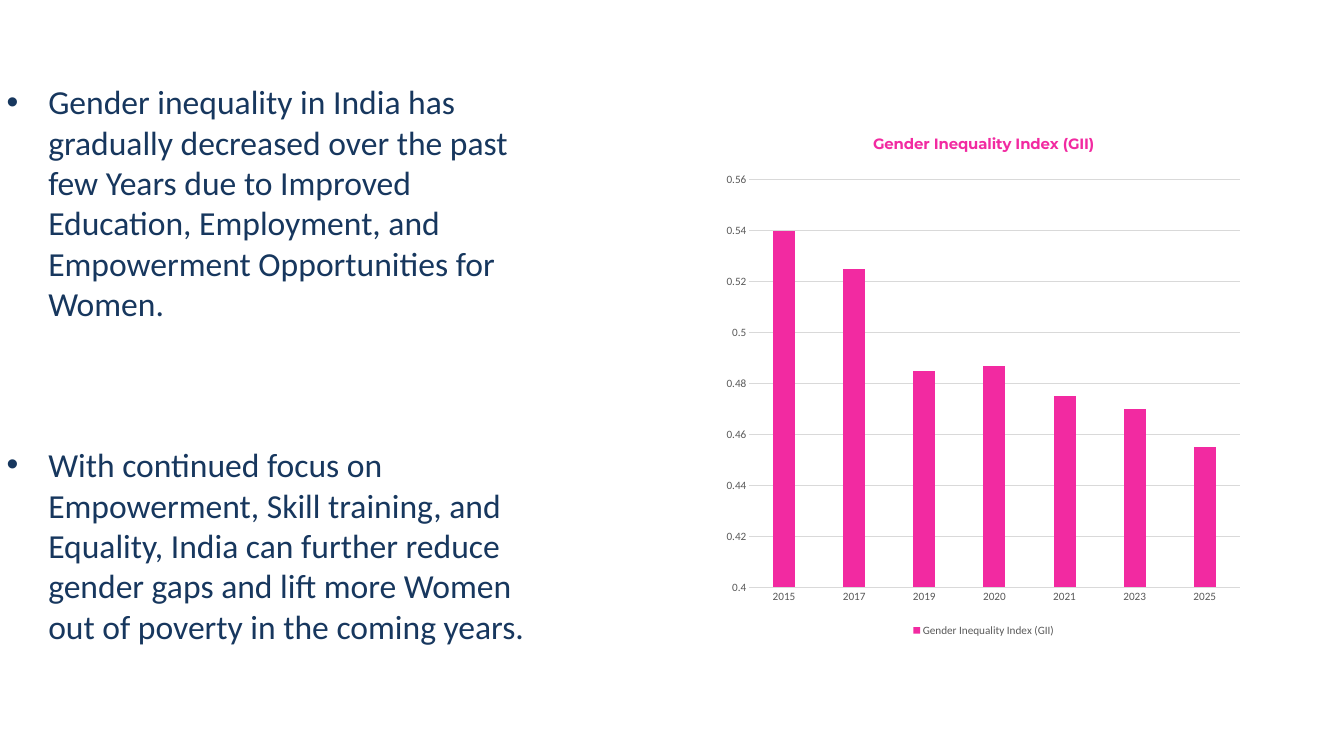
import pptx
import pptx.chart.data
import pptx.dml.color
import pptx.enum.chart
import pptx.enum.text
import pptx.oxml
import pptx.oxml.ns
import pptx.util
from pptx.util import Inches

NAVY, PINK, GREY, RULE = "17375E", "F22AA1", "595959", "D9D9D9"
BODY_FONT, TITLE_FONT = "Calibri", "Montserrat"
LINE_PITCH = 43.2  # points between the lines of the statements

STATEMENTS = [
    "Gender inequality in India has gradually decreased over the past few Years "
    "due to Improved Education, Employment, and Empowerment Opportunities for Women.",
    "With continued focus on Empowerment, Skill training, and Equality, India can "
    "further reduce gender gaps and lift more Women out of poverty in the coming years.",
]
INDEX_NAME = "Gender Inequality Index (GII)"
INDEX_BY_YEAR = {
    "2015": 0.54, "2017": 0.525, "2019": 0.485, "2020": 0.487,
    "2021": 0.475, "2023": 0.47, "2025": 0.455,
}


def color(hex_value):
    return pptx.dml.color.RGBColor.from_string(hex_value)


def style_font(font, size, hex_value, name=BODY_FONT, bold=False):
    font.size = pptx.util.Pt(size)
    font.color.rgb = color(hex_value)
    font.name = name
    font.bold = bold


def style_line(line, hex_value):
    line.color.rgb = color(hex_value)
    line.width = pptx.util.Pt(0.75)


def add_bullet(para, hanging):
    properties = para._p.get_or_add_pPr()
    properties.set("marL", str(hanging))
    properties.set("indent", str(-hanging))
    for tag, key, value in (("a:buFont", "typeface", "Arial"), ("a:buChar", "char", "•")):
        bullet = pptx.oxml.ns.qn(tag)
        properties.append(properties.makeelement(bullet, {key: value}))


def add_statements(page, left, top, width, height):
    box = page.shapes.add_textbox(left, top, width, height)
    frame = box.text_frame
    frame.word_wrap = True
    frame.vertical_anchor = pptx.enum.text.MSO_ANCHOR.TOP
    frame.margin_top = Inches(1.21)
    for number, statement in enumerate(STATEMENTS):
        para = frame.add_paragraph() if number else frame.paragraphs[0]
        para.line_spacing = pptx.util.Pt(LINE_PITCH)
        if number:
            para.space_before = pptx.util.Pt(3 * LINE_PITCH)
        add_bullet(para, Inches(0.62))
        span = para.add_run()
        span.text = statement
        style_font(span.font, 36, NAVY)


def place_plot(chart, x, y, w, h):
    """Fix the inner plot area, in fractions of the chart."""
    plot_area = chart._chartSpace.chart.plotArea
    for old in plot_area.findall(pptx.oxml.ns.qn("c:layout")):
        plot_area.remove(old)
    sizes = "".join(f'<c:{key} val="{value}"/>'
                    for key, value in (("x", x), ("y", y), ("w", w), ("h", h)))
    plot_area.insert(0, pptx.oxml.parse_xml(
        f'<c:layout {pptx.oxml.ns.nsdecls("c")}><c:manualLayout>'
        '<c:layoutTarget val="inner"/><c:xMode val="edge"/><c:yMode val="edge"/>'
        f'{sizes}</c:manualLayout></c:layout>'))


def add_index_chart(page, left, top, width, height):
    data = pptx.chart.data.CategoryChartData()
    data.categories = list(INDEX_BY_YEAR)
    data.add_series(INDEX_NAME, list(INDEX_BY_YEAR.values()))
    chart = page.shapes.add_chart(
        pptx.enum.chart.XL_CHART_TYPE.COLUMN_CLUSTERED,
        left, top, width, height, data).chart
    style_font(chart.font, 10, "000000")

    # Title
    chart.has_title = True
    span = chart.chart_title.text_frame.paragraphs[0].add_run()
    span.text = INDEX_NAME
    style_font(span.font, 16, PINK, TITLE_FONT, bold=True)
    chart.chart_title.include_in_layout = False

    # Columns
    plot = chart.plots[0]
    plot.gap_width = 219
    plot.overlap = -27
    plot.vary_by_categories = False
    fill = plot.series[0].format.fill
    fill.solid()
    fill.fore_color.rgb = color(PINK)

    # Axes
    for axis in (chart.category_axis, chart.value_axis):
        axis.major_tick_mark = pptx.enum.chart.XL_TICK_MARK.NONE
        axis.minor_tick_mark = pptx.enum.chart.XL_TICK_MARK.NONE
        style_font(axis.tick_labels.font, 12, GREY)
    style_line(chart.category_axis.format.line, RULE)
    values = chart.value_axis
    values.minimum_scale, values.maximum_scale, values.major_unit = 0.4, 0.56, 0.02
    values.format.line.fill.background()
    values.has_major_gridlines = True
    style_line(values.major_gridlines.format.line, RULE)

    # Legend
    chart.has_legend = True
    chart.legend.position = pptx.enum.chart.XL_LEGEND_POSITION.BOTTOM
    chart.legend.include_in_layout = False
    style_font(chart.legend.font, 12, GREY)
    place_plot(chart, 0.06, 0.12, 0.92, 0.78)


def main():
    deck = pptx.Presentation()
    deck.slide_width, deck.slide_height = Inches(20), Inches(11.25)
    page = deck.slides.add_slide(deck.slide_layouts[6])
    add_statements(page, Inches(0), Inches(0), Inches(7.94), Inches(8.7))
    add_index_chart(page, Inches(10.67), Inches(1.74), Inches(7.94), Inches(7.78))
    deck.save("out.pptx")


if __name__ == "__main__":
    main()
